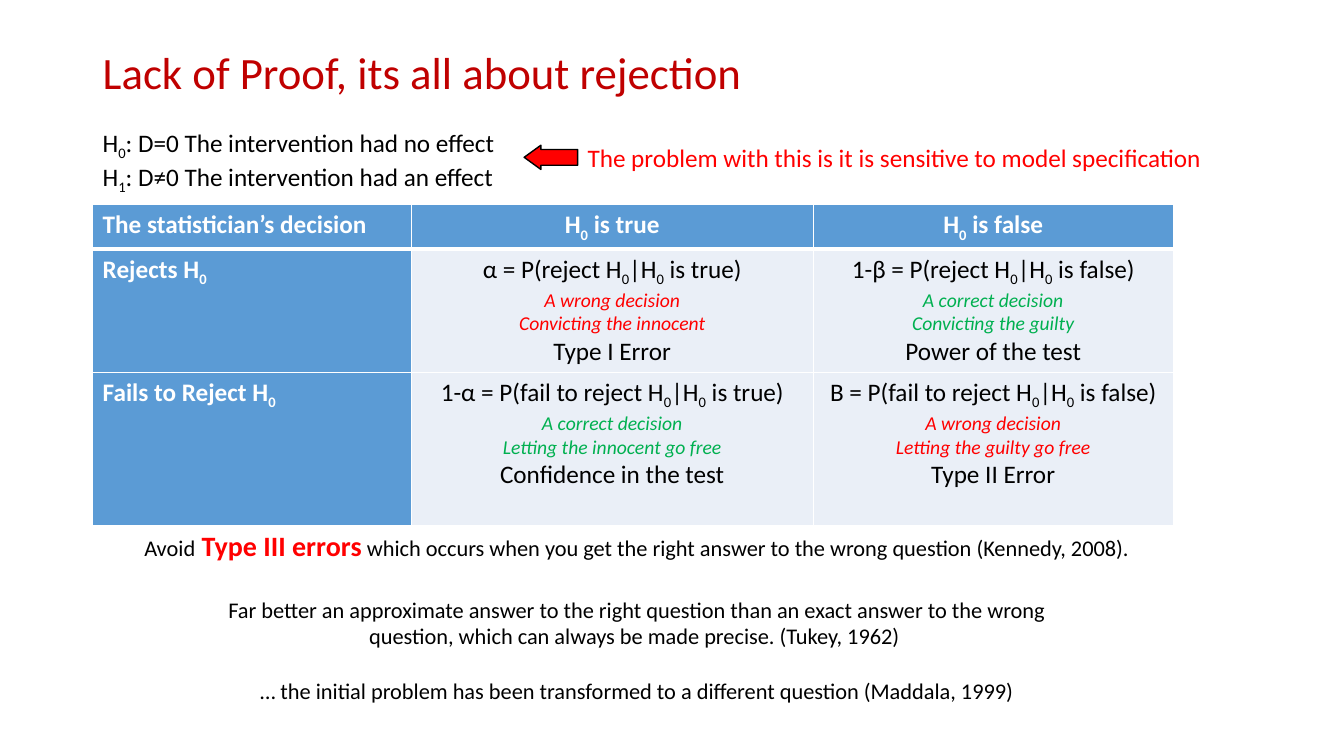
from dataclasses import dataclass

from lxml import etree
from pptx import Presentation
from pptx.dml.color import RGBColor
from pptx.enum.shapes import MSO_SHAPE
from pptx.enum.text import MSO_ANCHOR, PP_ALIGN
from pptx.oxml.ns import qn
from pptx.util import Pt

LEFT, MID = PP_ALIGN.LEFT, PP_ALIGN.CENTER
MIDDLE = MSO_ANCHOR.MIDDLE
ARROW = MSO_SHAPE.RIGHT_ARROW


@dataclass(frozen=True)
class Theme:
    font: str = "Calibri"
    title: str = "C00000"
    ink: str = "000000"
    white: str = "FFFFFF"
    red: str = "FF0000"
    green: str = "00B050"
    head: str = "5B9BD5"
    cell: str = "EAEFF7"
    huge: int = 32
    large: int = 20
    body: int = 18
    note: int = 16
    small: int = 14


T = Theme()

COLS = (227.5, 287.3, 257)
ROWS = (31, 88, 109.4)
HEADS = ("The statistician’s decision", "H_0 is true", "H_0 is false")
WRONG, RIGHT = ("A wrong decision", T.red), ("A correct decision", T.green)
CASES = (
    ("Rejects H_0",
     ("α = P(reject H_0|H_0 is true)", WRONG,
      "Convicting the innocent", "Type I Error"),
     ("1-β = P(reject H_0|H_0 is false)", RIGHT,
      "Convicting the guilty", "Power of the test")),
    ("Fails to Reject H_0",
     ("1-α = P(fail to reject H_0|H_0 is true)", RIGHT,
      "Letting the innocent go free", "Confidence in the test"),
     ("Β = P(fail to reject H_0|H_0 is false)", WRONG,
      "Letting the guilty go free", "Type II Error")),
)


def write(para, text, size=T.body, color=T.ink, bold=False, italic=False,
          align=LEFT):
    """Add text to a paragraph; the character after each _ is a subscript."""
    para.alignment = align
    first, *rest = text.split("_")
    parts = [(first, False)]
    for part in rest:
        parts += [(part[0], True), (part[1:], False)]
    for words, sub in parts:
        if not words:
            continue
        run = para.add_run()
        run.text = words
        font = run.font
        font.name, font.size = T.font, Pt(size)
        font.bold, font.italic = bold, italic
        font.color.rgb = RGBColor.from_string(color)
        if sub:
            run._r.get_or_add_rPr().set("baseline", "-25000")


def lines(frame, count):
    """Return the paragraphs of a frame, grown to the given count."""
    while len(frame.paragraphs) < count:
        frame.add_paragraph()
    return frame.paragraphs


def frame(slide, box, wrap=True):
    shape = slide.shapes.add_textbox(*map(Pt, box))
    shape.text_frame.word_wrap = wrap
    return shape.text_frame


def heading(slide, box):
    title = slide.shapes.title
    title.left, title.top, title.width, title.height = map(Pt, box)
    title.text_frame.vertical_anchor = MIDDLE
    para = title.text_frame.paragraphs[0]
    para.line_spacing = 0.9
    write(para, "Lack of Proof, its all about rejection",
          size=T.huge, color=T.title)


def claims(slide, box):
    """Hypotheses at the left, an arrow and a remark at the right."""
    x, y, w, h = box
    pair = lines(frame(slide, (x, y, 333.4, h)), 2)
    write(pair[0], "H_0: D=0 The intervention had no effect")
    write(pair[1], "H_1: D≠0 The intervention had an effect")
    note = frame(slide, (x + 346.4, y + 10.8, w - 346.4, 28.8), wrap=False)
    write(note.paragraphs[0],
          "The problem with this is it is sensitive to model specification",
          color=T.red)
    arrow = slide.shapes.add_shape(
        ARROW, Pt(x + 308.2), Pt(y + 16.6), Pt(38.2), Pt(17.3))
    arrow.rotation = 180
    arrow.adjustments[0], arrow.adjustments[1] = 0.65, 0.69
    arrow.shadow.inherit = False
    arrow.fill.solid()
    arrow.fill.fore_color.rgb = RGBColor.from_string(T.red)
    arrow.line.color.rgb = RGBColor.from_string(T.ink)
    arrow.line.width = Pt(1)


def paint(cell, color, top=1, base=1):
    """Give a cell white borders and a fill."""
    props = cell._tc.get_or_add_tcPr()
    for side, width in (("L", 1), ("R", 1), ("T", top), ("B", base)):
        edge = etree.SubElement(props, qn("a:ln" + side), w=str(Pt(width)))
        fill = etree.SubElement(edge, qn("a:solidFill"))
        etree.SubElement(fill, qn("a:srgbClr"), val=T.white)
    cell.fill.solid()
    cell.fill.fore_color.rgb = RGBColor.from_string(color)


def outcome(cell, case):
    """Write the odds, the verdict, its meaning and the name of a case."""
    odds, (verdict, color), sense, name = case
    paras = lines(cell.text_frame, 4)
    write(paras[0], odds, align=MID)
    for para, text in zip(paras[1:3], (verdict, sense)):
        write(para, text, size=T.small, color=color, italic=True, align=MID)
    write(paras[3], name, align=MID)


def grid(slide, box):
    table = slide.shapes.add_table(
        len(ROWS), len(COLS), *map(Pt, box)).table
    for col, width in zip(table.columns, COLS):
        col.width = Pt(width)
    for row, height in zip(table.rows, ROWS):
        row.height = Pt(height)
    for j, text in enumerate(HEADS):
        cell = table.cell(0, j)
        paint(cell, T.head, base=3)
        write(cell.text_frame.paragraphs[0], text, color=T.white, bold=True,
              align=MID if j else LEFT)
    for i, (label, *cases) in enumerate(CASES, 1):
        top = 3 if i == 1 else 1
        side = table.cell(i, 0)
        paint(side, T.head, top=top)
        write(side.text_frame.paragraphs[0], label, color=T.white, bold=True)
        for j, case in enumerate(cases, 1):
            paint(table.cell(i, j), T.cell, top=top)
            outcome(table.cell(i, j), case)


def quotes(slide, box):
    """A warning across the box, with two quotations below it."""
    x, y, w, h = box
    warn = frame(slide, (x, y, w, 31.7)).paragraphs[0]
    write(warn, "Avoid", size=T.note, align=MID)
    write(warn, " Type III errors", size=T.large, color=T.red, bold=True,
          align=MID)
    write(warn, " which occurs when you get the right answer to the wrong "
          "question (Kennedy, 2008).", size=T.note, align=MID)
    pair = lines(frame(slide, (x + 98, y + 48.2, w - 196, h - 48.2)), 2)
    write(pair[0], "Far better an approximate answer to the right question "
          "than an exact answer to the wrong question, which can always be "
          "made precise. (Tukey, 1962) ", size=T.note, align=MID)
    write(pair[1], "… the initial problem has been transformed to a "
          "different question (Maddala, 1999)", size=T.note, align=MID)
    pair[1].space_before = Pt(19.5)


def main():
    deck = Presentation()
    deck.slide_width, deck.slide_height = Pt(960), Pt(540)
    slide = deck.slides.add_slide(deck.slide_layouts[5])
    heading(slide, (66.2, 28.8, 828, 49.7))
    claims(slide, (66.2, 87.1, 804.3, 51.1))
    grid(slide, (66.2, 146.2, sum(COLS), sum(ROWS)))
    quotes(slide, (55.4, 373.7, 799.2, 133.2))
    deck.save("out.pptx")


if __name__ == "__main__":
    main()
